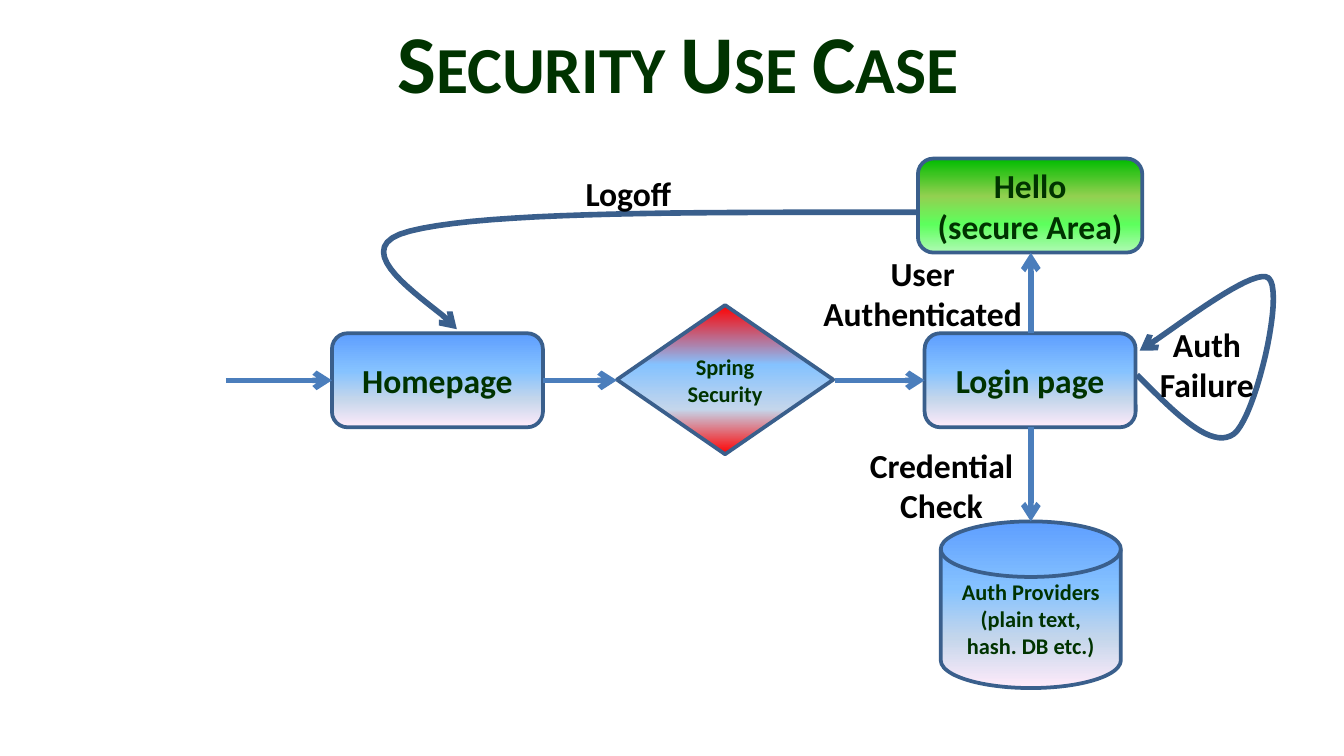
from lxml import etree
from pptx import Presentation
from pptx.dml.color import RGBColor
from pptx.enum.shapes import MSO_CONNECTOR, MSO_SHAPE
from pptx.enum.text import MSO_ANCHOR, MSO_AUTO_SIZE, PP_ALIGN
from pptx.oxml.ns import qn
from pptx.util import Pt

PX = 9144  # 100 px to the inch
STRAIGHT = MSO_CONNECTOR.STRAIGHT
ROUNDED = MSO_SHAPE.ROUNDED_RECTANGLE
DECISION = MSO_SHAPE.FLOWCHART_DECISION
DISK = MSO_SHAPE.FLOWCHART_MAGNETIC_DISK
MIDDLE, TOP = MSO_ANCHOR.MIDDLE, MSO_ANCHOR.TOP
CENTER = PP_ALIGN.CENTER
GROW = MSO_AUTO_SIZE.SHAPE_TO_FIT_TEXT

DARK_GREEN = RGBColor(0x00, 0x33, 0x00)
BLACK = RGBColor(0x00, 0x00, 0x00)
OUTLINE = RGBColor(0x3A, 0x5F, 0x8C)
ARROW = RGBColor(0x4B, 0x7E, 0xBC)
STOPS = (0, 40, 70, 100)
BLUE_FADE = ("5E9EFF", "85C2FF", "C4D6EB", "FFEBFA")
RED_FADE = ("FF0000", "85C2FF", "C4D6EB", "FF0000")
GREEN_FADE = ("00BC00", "92D050", "5DFF5D", "B0FAB4")
CURVE_STEPS = 20


def write_text(shape, lines, size, color, anchor):
    frame = shape.text_frame
    frame.word_wrap = True
    frame.vertical_anchor = anchor
    for index, line in enumerate(lines):
        para = frame.add_paragraph() if index else frame.paragraphs[0]
        para.alignment = CENTER
        span = para.add_run()
        span.text = line
        span.font.name = "Calibri"
        span.font.size = Pt(size)
        span.font.bold = True
        span.font.color.rgb = color


def style_arrow(shape, color):
    """Give an open path a 3 pt line with an arrowhead and no shadow."""
    shape.line.color.rgb = color
    shape.line.width = Pt(3)
    etree.SubElement(shape.line._get_or_add_ln(), qn("a:tailEnd"), type="arrow")
    etree.SubElement(shape._element.spPr, qn("a:effectLst"))


deck = Presentation()
deck.slide_width = 1000 * PX
deck.slide_height = deck.slide_width * 9 // 16
page = deck.slides.add_slide(deck.slide_layouts[6])
shapes = page.shapes

title = shapes.add_textbox(75 * PX, 1 * PX, 859 * PX, 87 * PX)
write_text(title, ["Security Use Case"], 44, DARK_GREEN, MIDDLE)
title_para = title.text_frame.paragraphs[0]
title_para.line_spacing = 1.01
title_para.runs[0].font._element.set("cap", "small")

nodes = [
    (ROUNDED, 247, 248, 157, 70, BLUE_FADE, 18, ["Homepage"]),
    (DECISION, 459, 227, 161, 111, RED_FADE, 12, ["Spring Security"]),
    (ROUNDED, 688, 248, 157, 70, BLUE_FADE, 18, ["Login page"]),
    (ROUNDED, 683, 118, 167, 70, GREEN_FADE, 18, ["Hello", "(secure Area)"]),
    (DISK, 700, 388, 134, 124, BLUE_FADE, 12,
     ["Auth Providers (plain text, hash. DB etc.)"]),
]
for kind, left, top, width, height, fade, size, lines in nodes:
    node = shapes.add_shape(kind, left * PX, top * PX, width * PX, height * PX)
    node.shadow.inherit = False
    node.line.color.rgb = OUTLINE
    node.line.width = Pt(2)
    node.fill.gradient()
    node.fill.gradient_angle = 270
    stop_list = node._element.spPr.find(qn("a:gradFill")).find(qn("a:gsLst"))
    for old_stop in list(stop_list):
        stop_list.remove(old_stop)
    for position, color in zip(STOPS, fade):
        stop = etree.SubElement(stop_list, qn("a:gs"), pos=str(position * 1000))
        etree.SubElement(stop, qn("a:srgbClr"), val=color)
    write_text(node, lines, size, DARK_GREEN, MIDDLE)

straight_arrows = [
    (168, 283, 247, 283),
    (404, 283, 459, 283),
    (621, 283, 688, 283),
    (767, 248, 767, 188),
    (767, 318, 767, 388),
]
for ends in straight_arrows:
    arrow = shapes.add_connector(STRAIGHT, *(value * PX for value in ends))
    style_arrow(arrow, ARROW)

# Each curve is a chain of cubic Béziers: start, then two controls and an end.
failure_loop = [(846, 279), (874, 307), (901, 335), (918, 323), (934, 311),
                (956, 218), (944, 207), (933, 197), (864, 252), (848, 261)]
logoff_path = [(683, 158), (523, 158), (363, 157), (305, 172),
               (248, 186), (333, 232), (340, 245)]
for curve in (failure_loop, logoff_path):
    points = []
    for first in range(0, len(curve) - 1, 3):
        for step in range(1, CURVE_STEPS + 1):
            t = step / CURVE_STEPS
            weights = ((1 - t) ** 3, 3 * t * (1 - t) ** 2, 3 * t * t * (1 - t), t ** 3)
            segment = curve[first:first + 4]
            points.append(tuple(
                sum(weight * point[axis] for weight, point in zip(weights, segment)) * PX
                for axis in (0, 1)))
    builder = shapes.build_freeform(curve[0][0] * PX, curve[0][1] * PX)
    builder.add_line_segments(points, close=False)
    path = builder.convert_to_shape()
    path.fill.background()
    style_arrow(path, OUTLINE)

labels = [
    ("Auth Failure", 839, 236, 118, 71),
    ("User Authenticated", 602, 183, 169, 71),
    ("Credential Check", 616, 326, 169, 71),
    ("Logoff", 383, 124, 169, 40),
]
for text, left, top, width, height in labels:
    label = shapes.add_textbox(left * PX, top * PX, width * PX, height * PX)
    write_text(label, [text], 18, BLACK, TOP)
    label.text_frame.auto_size = GROW

deck.save("out.pptx")
